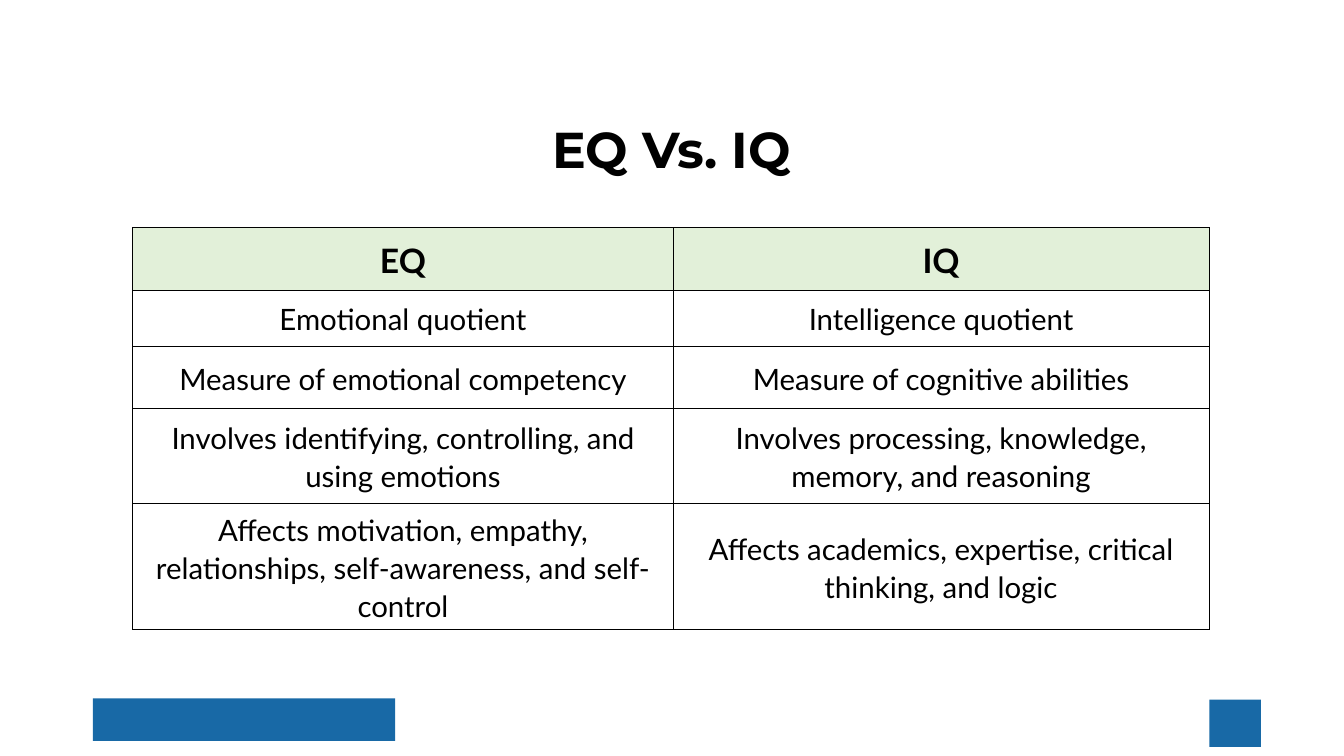
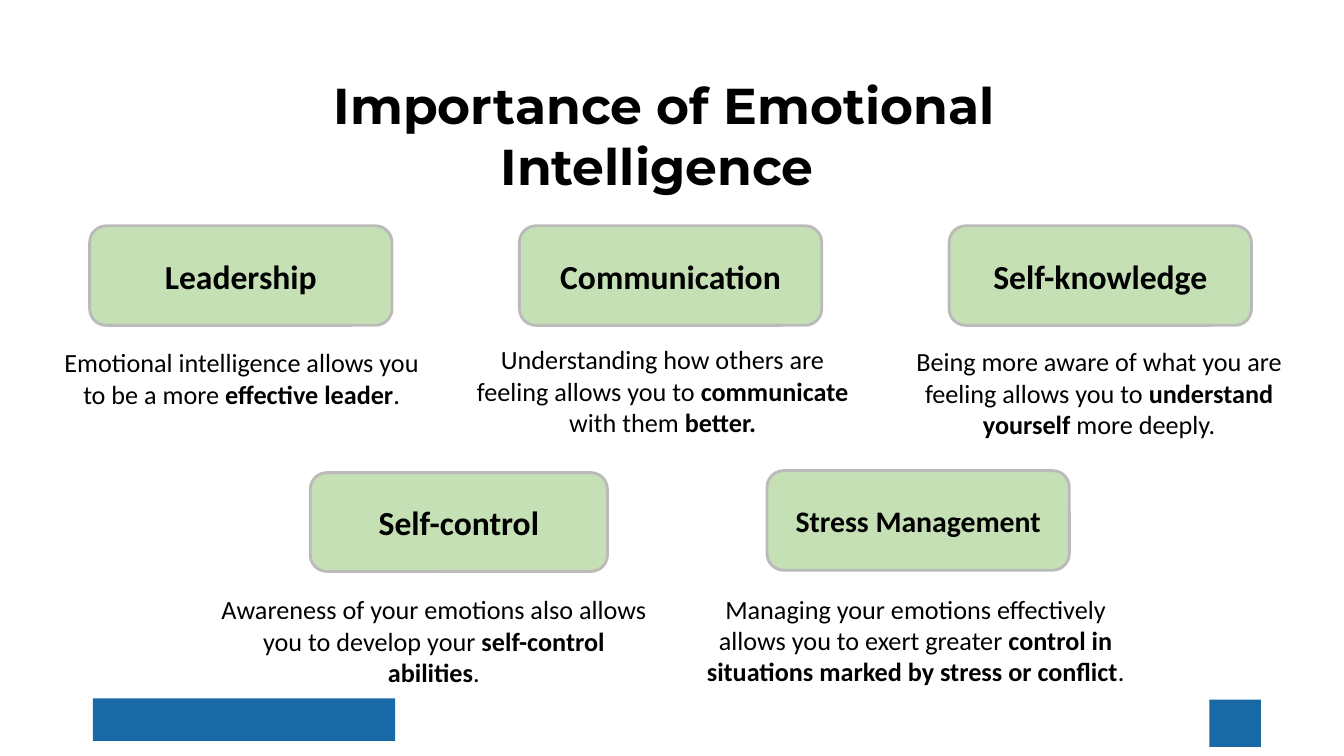
from lxml import etree
from pptx import Presentation
from pptx import util as u
from pptx.dml import color
from pptx.enum import shapes, text
from pptx.oxml import ns

COLOURS = {
    "band": "1869A6",
    "text": "000000",
    "header": "E2F0D9",
    "card": "C5E0B4",
    "outline": "BABABA",
}
RGB = {name: color.RGBColor.from_string(value) for name, value in COLOURS.items()}

# Shared formats
TITLE = {"name": "Montserrat", "size": u.Pt(36), "bold": True}
HEADER = {"name": "Lato", "size": u.Pt(24), "bold": True}
CELL = {"name": "Lato", "size": u.Pt(21)}
CARD = {"name": "Calibri", "bold": True}
NOTE = {"name": "Calibri", "size": u.Pt(18.7)}
FRAME = {
    "word_wrap": True,
    "margin_left": u.Cm(0.33),
    "margin_right": u.Cm(0.33),
    "margin_top": u.Cm(0.18),
    "margin_bottom": u.Cm(0.18),
}
BANDS = [(2.34, 17.6, 7.62, 1.07), (30.48, 17.63, 1.3, 1.19)]


def write(frame, words, font_format, anchor=text.MSO_ANCHOR.MIDDLE):
    """Fill a text frame with centred text; words between asterisks are bold."""
    for name, value in FRAME.items():
        setattr(frame, name, value)
    frame.vertical_anchor = anchor
    paragraph = frame.paragraphs[0]
    paragraph.alignment = text.PP_ALIGN.CENTER
    for index, part in enumerate(words.split("*")):
        run = paragraph.add_run()
        run.text = part
        run.font.bold = index % 2 == 1
        run.font.color.rgb = RGB["text"]
        for name, value in font_format.items():
            setattr(run.font, name, value)


def add_box(slide, preset, place, fill, line=None):
    """Add a flat preset shape; place is left, top, width, height in cm."""
    shape = slide.shapes.add_shape(preset, *map(u.Cm, place))
    shape.shadow.inherit = False
    shape.fill.solid()
    shape.fill.fore_color.rgb = RGB[fill]
    if line:
        shape.line.color.rgb = RGB[line]
        shape.line.width = u.Pt(2)
    else:
        shape.line.fill.background()
    return shape


presentation = Presentation()
presentation.slide_width = u.Cm(33.87)
presentation.slide_height = u.Cm(19.05)

# Both slides: footer bands and title
titles = [
    ("EQ Vs. IQ", (7.8, 1.75, 18.24, 3.99)),
    ("Importance of Emotional Intelligence ", (4.93, 1.68, 23.62, 3.43)),
]
for title, place in titles:
    slide = presentation.slides.add_slide(presentation.slide_layouts[6])
    for band in BANDS:
        add_box(slide, shapes.MSO_SHAPE.RECTANGLE, band, "band")
    write(slide.shapes.add_textbox(*map(u.Cm, place)).text_frame, title, TITLE)
comparison_slide, importance_slide = presentation.slides

# Slide 1: comparison table
rows = [
    (1.57, "EQ", "IQ"),
    (1.42, "Emotional quotient", "Intelligence quotient"),
    (1.57, "Measure of emotional competency", "Measure of cognitive abilities"),
    (2.39, "Involves identifying, controlling, and using emotions",
     "Involves processing, knowledge, memory, and reasoning"),
    (3.18, "Affects motivation, empathy, relationships, self-awareness, and self-control",
     "Affects academics, expertise, critical thinking, and logic"),
]
column_widths = [13.61, 13.51]
table = comparison_slide.shapes.add_table(
    len(rows), len(column_widths), u.Cm(3.35), u.Cm(5.74),
    u.Cm(sum(column_widths)), u.Cm(sum(row[0] for row in rows))).table
table.first_row = table.horz_banding = False
for column, width in zip(table.columns, column_widths):
    column.width = u.Cm(width)
for row_index, (height, *entries) in enumerate(rows):
    table.rows[row_index].height = u.Cm(height)
    for column_index, entry in enumerate(entries):
        cell = table.cell(row_index, column_index)
        write(cell.text_frame, entry, CELL if row_index else HEADER)
        cell.text_frame.paragraphs[0].line_spacing = 1.07
        cell.vertical_anchor = text.MSO_ANCHOR.MIDDLE
        cell.margin_left = cell.margin_right = u.Cm(0.25)
        cell.margin_top = cell.margin_bottom = 0
        # Borders come before the fill in the cell properties
        properties = cell._tc.get_or_add_tcPr()
        for side in ("a:lnL", "a:lnR", "a:lnT", "a:lnB"):
            border = etree.SubElement(properties, ns.qn(side), w=str(u.Pt(0.75)))
            border_fill = etree.SubElement(border, ns.qn("a:solidFill"))
            etree.SubElement(border_fill, ns.qn("a:srgbClr"), val=COLOURS["text"])
        if row_index:
            cell.fill.background()
        else:
            cell.fill.solid()
            cell.fill.fore_color.rgb = RGB["header"]

# Slide 2: cards, each with a note below
first_left, pitch = 2.26, 10.83
card_width, card_height = 7.62, 2.51
cards = [
    ("Leadership", 24, (first_left, 5.69, card_width, card_height),
     "Emotional intelligence allows you to be a more *effective leader*.",
     (1.19, 8.56, 9.8, 1.93)),
    ("Communication", 24, (first_left + pitch, 5.69, card_width, card_height),
     "Understanding how others are feeling allows you to *communicate *with them *better.*",
     (11.38, 8.48, 10.64, 2.74)),
    ("Self-knowledge", 24, (first_left + 2 * pitch, 5.69, card_width, card_height),
     "Being more aware of what you are feeling allows you to "
     "*understand yourself* more deeply.",
     (22.38, 8.53, 10.64, 2.74)),
    ("Self-control", 24, (7.82, 11.91, 7.49, 2.49),
     "Awareness of your emotions also allows you to develop your *self-control abilities*.",
     (5.13, 14.78, 11.61, 2.74)),
    ("Stress Management", 21.3, (19.33, 11.86, card_width, card_height),
     "Managing your emotions effectively allows you to exert greater "
     "*control in situations marked by stress or conflict*.",
     (17.27, 14.76, 11.61, 2.74)),
]
for heading, size, card_place, note, note_place in cards:
    card = add_box(importance_slide, shapes.MSO_SHAPE.ROUNDED_RECTANGLE,
                   card_place, "card", "outline")
    write(card.text_frame, heading, {**CARD, "size": u.Pt(size)})
    note_box = importance_slide.shapes.add_textbox(*map(u.Cm, note_place))
    write(note_box.text_frame, note.rstrip("*"), NOTE, text.MSO_ANCHOR.TOP)

presentation.save("out.pptx")
